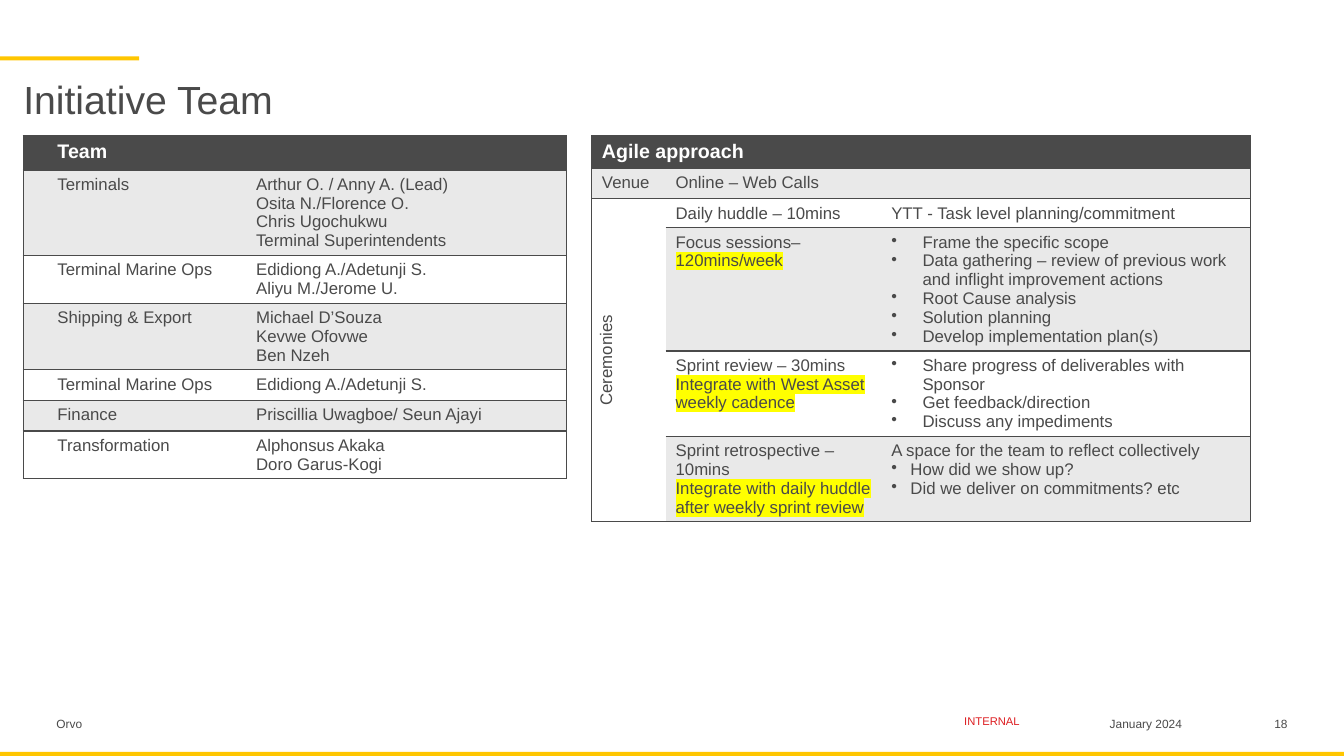
import dataclasses

import lxml.etree
import pptx
import pptx.dml.color
import pptx.enum.shapes
import pptx.enum.text
import pptx.oxml.ns
import pptx.util

WIDTH, HEIGHT = pptx.util.Inches(13.33), pptx.util.Inches(7.5)
FONT = "Arial"
DARK, LIGHT, WHITE = "4A4A4A", "E9E9E9", "FFFFFF"
GOLD, RED, YELLOW = "FFC600", "DD1D21", "FFFF00"
PLAIN_STYLE = "{2D5ABB26-0587-4C30-8999-92F81FD0307C}"  # no style, no grid
HEADER_ROW, TEXT_LINE, CELL_PADDING = 0.32, 0.187, 0.1  # inches
ALIGN = pptx.enum.text.PP_ALIGN
ANCHOR = pptx.enum.text.MSO_ANCHOR


@dataclasses.dataclass
class Line:
    text: str = ""
    marked: str = ""  # highlighted part after the plain text
    indent: float = 0  # hanging bullet indent in inches


def bullets(indent, *texts):
    return [Line(text, indent=indent) for text in texts]


def lines(*texts):
    return [Line(text) for text in texts]


TEAM = [
    ("Terminals", "Arthur O. / Anny A. (Lead)", "Osita N./Florence O.",
     "Chris Ugochukwu", "Terminal Superintendents"),
    ("Terminal Marine Ops", "Edidiong A./Adetunji S.", "Aliyu M./Jerome U."),
    ("Shipping & Export", "Michael D’Souza", "Kevwe Ofovwe", "Ben Nzeh"),
    ("Terminal Marine Ops", "Edidiong A./Adetunji S."),
    ("Finance", "Priscillia Uwagboe/ Seun Ajayi"),
    ("Transformation", "Alphonsus Akaka", "Doro Garus-Kogi"),
]
AGILE = [
    [lines("Venue"), lines("Online – Web Calls"), []],
    [lines("Ceremonies"), lines("Daily huddle – 10mins"),
     lines("YTT - Task level planning/commitment")],
    [[], [Line("Focus sessions– ", "120mins/week")],
     bullets(0.31, "Frame the specific scope",
             "Data gathering – review of previous work and inflight improvement actions",
             "Root Cause analysis", "Solution planning", "Develop implementation plan(s)")],
    [[], [Line("Sprint review – 30mins"),
          Line(marked="Integrate with West Asset weekly cadence")],
     bullets(0.31, "Share progress of deliverables with Sponsor",
             "Get feedback/direction", "Discuss any impediments")],
    [[], [Line("Sprint retrospective – 10mins"),
          Line(marked="Integrate with daily huddle after weekly sprint review")],
     lines("A space for the team to reflect collectively")
     + bullets(0.19, "How did we show up?", "Did we deliver on commitments? etc")],
]


def color(value):
    return pptx.dml.color.RGBColor.from_string(value)


def across(percent):
    return round(WIDTH * percent / 100)


def down(percent):
    return round(HEIGHT * percent / 100)


def area(left, top, width, height):
    return across(left), down(top), across(width), down(height)


def child(parent, tag, **attributes):
    return lxml.etree.SubElement(parent, pptx.oxml.ns.qn(tag), attributes)


def style(span, size, ink=DARK, bold=False):
    span.font.size = pptx.util.Pt(size)
    span.font.bold = bold
    span.font.color.rgb = color(ink)
    span.font.name = FONT


def highlight(span):
    mark = lxml.etree.Element(pptx.oxml.ns.qn("a:highlight"))
    child(mark, "a:srgbClr", val=YELLOW)
    span.font._element.find(pptx.oxml.ns.qn("a:solidFill")).addnext(mark)


def add_bar(page, place):
    bar = page.shapes.add_shape(pptx.enum.shapes.MSO_SHAPE.RECTANGLE, *place)
    bar.shadow.inherit = False
    bar.fill.solid()
    bar.fill.fore_color.rgb = color(GOLD)
    bar.line.fill.background()


def add_footer(page, text, place, align, size=8.5, ink=DARK, anchor=ANCHOR.MIDDLE):
    frame = page.shapes.add_textbox(*place).text_frame
    frame.margin_left = frame.margin_right = frame.margin_top = 0
    frame.margin_bottom = pptx.util.Inches(0.05)
    frame.word_wrap = True
    frame.vertical_anchor = anchor
    frame.text = text
    frame.paragraphs[0].alignment = align
    style(frame.paragraphs[0].runs[0], size, ink)


def set_title(page, text):
    title = page.shapes.title
    title.left, title.top, title.width, title.height = area(1.73, 10.4, 91.67, 6.13)
    frame = title.text_frame
    frame.margin_left = frame.margin_right = frame.margin_top = frame.margin_bottom = 0
    frame.vertical_anchor = ANCHOR.MIDDLE
    frame.text = text
    para = frame.paragraphs[0]
    para.alignment = ALIGN.LEFT
    para.line_spacing = 0.9
    style(para.runs[0], 28)


def fill_cell(cell, content, size, ink, bold):
    frame = cell.text_frame
    for number, line in enumerate(content):
        para = frame.add_paragraph() if number else frame.paragraphs[0]
        if line.indent:
            hang = pptx.util.Inches(line.indent)
            properties = para._p.get_or_add_pPr()
            properties.set("marL", str(hang))
            properties.set("indent", str(-hang))
            child(properties, "a:buChar", char="•")
        for text in filter(None, (line.text, line.marked)):
            span = para.add_run()
            span.text = text
            style(span, size, ink, bold)
            if text == line.marked:
                highlight(span)
    if not content:
        child(frame.paragraphs[0]._p, "a:endParaRPr", sz=str(size * 100))


def add_borders(cell, sides):
    for side in sides:
        edge = child(cell._tc.get_or_add_tcPr(), "a:ln" + side, w=str(pptx.util.Pt(1)))
        child(child(edge, "a:solidFill"), "a:srgbClr", val=DARK)


def add_grid(page, left, widths, rows, line_counts, merges=()):
    heights = [HEADER_ROW] + [count * TEXT_LINE + CELL_PADDING for count in line_counts]
    heights = [pptx.util.Inches(height) for height in heights]
    table = page.shapes.add_table(len(rows), len(widths), across(left), down(18),
                                  across(sum(widths)), sum(heights)).table
    table.horz_banding = table.first_row = False
    table._tbl.tblPr.find(pptx.oxml.ns.qn("a:tableStyleId")).text = PLAIN_STYLE
    for column, width in zip(table.columns, widths):
        column.width = across(width)
    for row, height in zip(table.rows, heights):
        row.height = height
    for first, last in merges:
        table.cell(*first).merge(table.cell(*last))
    for r, row in enumerate(rows):
        for c, content in enumerate(row):
            cell = table.cell(r, c)
            inside_tall = cell.is_spanned and r > 0
            sides = ["L"] if c == 0 else []
            sides += ["R"] if c + cell.span_width == len(widths) else []
            sides += [] if inside_tall else ["T"]
            sides += [] if inside_tall and r < len(rows) - 1 else ["B"]
            add_borders(cell, sides)
            tint = DARK if r == 0 else LIGHT if r % 2 else WHITE
            cell.fill.solid()
            cell.fill.fore_color.rgb = color(WHITE if inside_tall else tint)
            fill_cell(cell, content, *((12, DARK, False) if r else (14, WHITE, True)))
    return table


def main():
    deck = pptx.Presentation()
    deck.slide_width, deck.slide_height = WIDTH, HEIGHT
    page = deck.slides.add_slide(deck.slide_layouts[5])

    # Bars and title
    add_bar(page, area(0, 7.47, 10.35, 0.53))
    add_bar(page, area(0, 99.47, 100, 0.53))
    set_title(page, "Initiative Team")

    # Team members
    team = [[[], lines("Team"), []]]
    team += [[[], lines(group), lines(*people)] for group, *people in TEAM]
    add_grid(page, 1.73, [1.73, 14.78, 23.85], team,
             [len(people) for group, *people in TEAM])

    # Agile approach, with the ceremonies label running upwards
    agile = add_grid(page, 44.04, [5.48, 16.05, 27.46],
                     [[lines("Agile approach"), [], []]] + AGILE, [1, 1, 6, 4, 4],
                     merges=[((0, 0), (0, 2)), ((2, 0), (5, 0))])
    ceremonies = agile.cell(2, 0)
    ceremonies._tc.get_or_add_tcPr().set("vert", "vert270")
    ceremonies.text_frame.paragraphs[0].alignment = ALIGN.CENTER

    # Footer
    add_footer(page, "Orvo", area(4.2, 94.27, 27.53, 3.47), ALIGN.LEFT)
    add_footer(page, "INTERNAL", area(69.39, 94.53, 8.85, 2.53), ALIGN.CENTER,
               8, RED, ANCHOR.TOP)
    add_footer(page, "January 2024", area(79.37, 94.27, 11.78, 3.47), ALIGN.CENTER)
    add_footer(page, "18", area(92.87, 94.27, 2.93, 3.47), ALIGN.RIGHT)

    deck.save("out.pptx")


if __name__ == "__main__":
    main()
